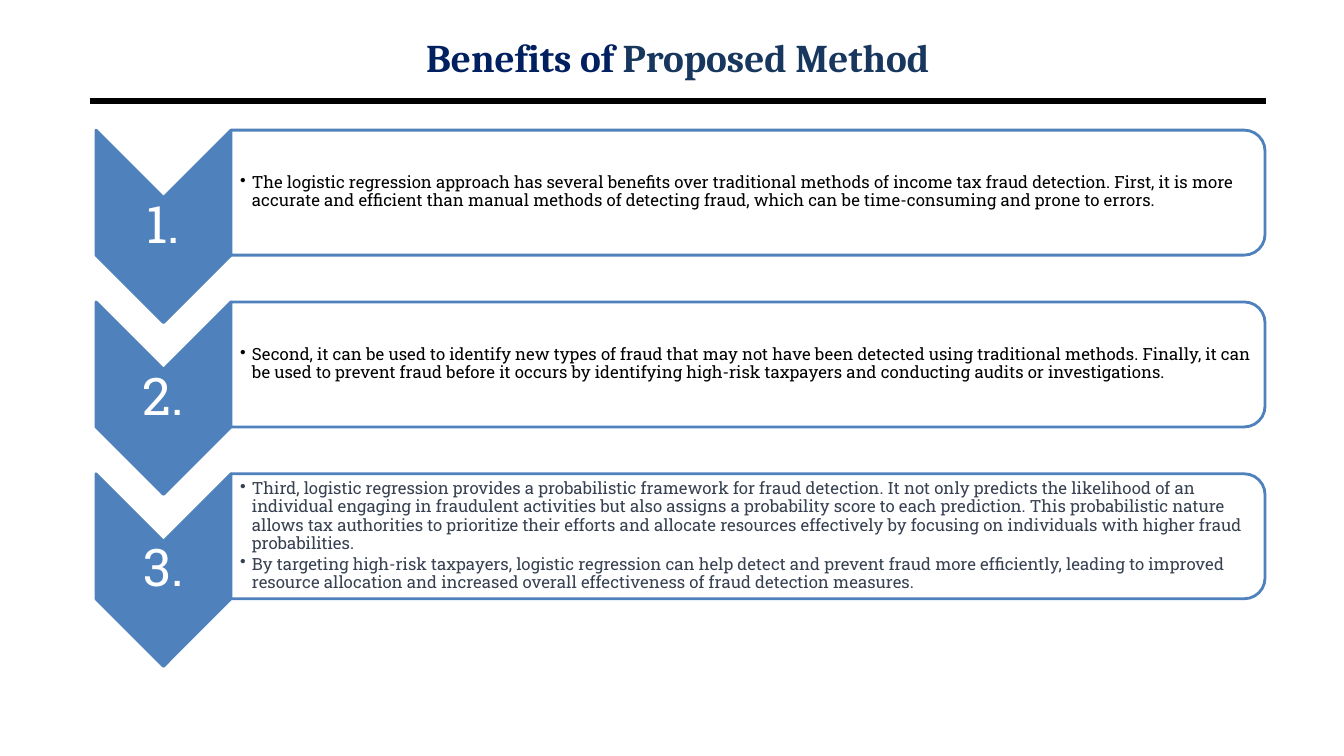
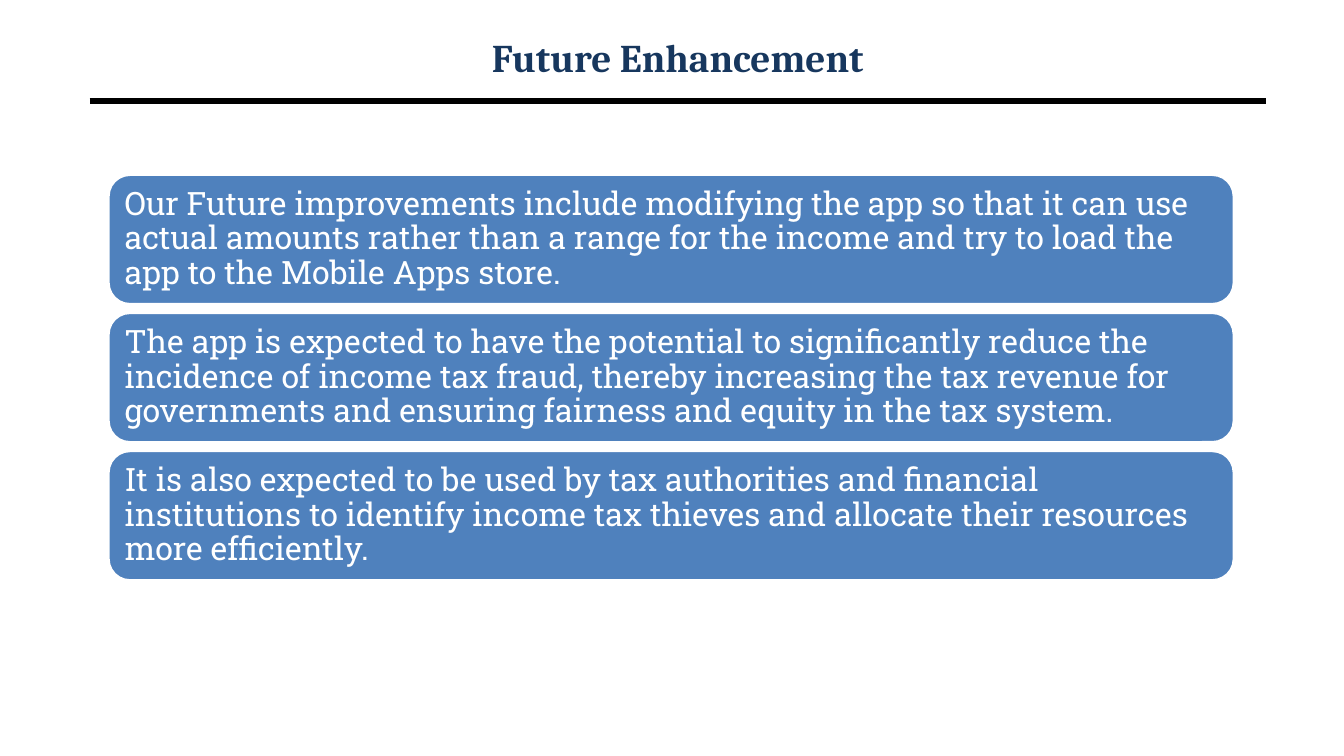
"""Build two slides on the benefits and the future of a tax fraud method."""
from typing import NamedTuple

from lxml import etree
from pptx import Presentation
from pptx.dml.color import RGBColor
from pptx.enum.shapes import MSO_CONNECTOR, MSO_SHAPE
from pptx.enum.text import MSO_ANCHOR, PP_ALIGN
from pptx.oxml.ns import qn
from pptx.shapes.autoshape import Shape
from pptx.slide import Slide
from pptx.util import Cm, Pt

CHEVRON, ROUND = MSO_SHAPE.CHEVRON, MSO_SHAPE.ROUNDED_RECTANGLE
PANEL = MSO_SHAPE.ROUND_2_SAME_RECTANGLE
STRAIGHT = MSO_CONNECTOR.STRAIGHT
LEFT, CENTER = PP_ALIGN.LEFT, PP_ALIGN.CENTER
MIDDLE = MSO_ANCHOR.MIDDLE

COLORS = {
    "navy": "002060",
    "steel": "17375E",
    "blue": "4F81BD",
    "slate": "374151",
    "black": "000000",
    "white": "FFFFFF",
}
HEAD, BODY = "Cambria", "Roboto Slab"


class Box(NamedTuple):
    """A place on the slide, in centimetres."""
    left: float
    top: float
    width: float
    height: float


class Run(NamedTuple):
    """A piece of text in one colour."""
    text: str
    ink: str


class Step(NamedTuple):
    """A numbered row with its bullet points."""
    ink: str
    points: tuple[str, ...]


STEPS = (
    Step("black", (
        "The logistic regression approach has several benefits over traditional methods of "
        "income tax fraud detection. First, it is more accurate and efficient than manual "
        "methods of detecting fraud, which can be time-consuming and prone to errors.",
    )),
    Step("black", (
        "Second, it can be used to identify new types of fraud that may not have been detected "
        "using traditional methods. Finally, it can be used to prevent fraud before it occurs "
        "by identifying high-risk taxpayers and conducting audits or investigations.",
    )),
    Step("slate", (
        "Third, logistic regression provides a probabilistic framework for fraud detection. It "
        "not only predicts the likelihood of an individual engaging in fraudulent activities "
        "but also assigns a probability score to each prediction. This probabilistic nature "
        "allows tax authorities to prioritize their efforts and allocate resources effectively "
        "by focusing on individuals with higher fraud probabilities.",
        "By targeting high-risk taxpayers, logistic regression can help detect and prevent "
        "fraud more efficiently, leading to improved resource allocation and increased overall "
        "effectiveness of fraud detection measures.",
    )),
)
PLANS = (
    "Our Future improvements include modifying the app so that it can use actual amounts rather "
    "than a range for the income and try to load the app to the Mobile Apps store.",
    "The app is expected to have the potential to significantly reduce the incidence of income "
    "tax fraud, thereby increasing the tax revenue for governments and ensuring fairness and "
    "equity in the tax system.",
    "It is also expected to be used by tax authorities and financial institutions to identify "
    "income tax thieves and allocate their resources more efficiently.",
)
TITLE = Box(2.26, 0.76, 29.64, 1.35)
RULE = 2.54


def tint(name: str) -> RGBColor:
    """Return a named colour."""
    return RGBColor.from_string(COLORS[name])


def write(shape: Shape, *paras: list[Run], size: float, font: str = BODY, bold: bool = False,
          align: PP_ALIGN = LEFT, line: float = 0.9, after: float = 0, bullet: bool = False,
          pad: tuple[float, ...] = (0.25, 0.25, 0.25, 0.25)) -> None:
    """Fill a shape with formatted paragraphs."""
    frame = shape.text_frame
    frame.word_wrap = True
    frame.vertical_anchor = MIDDLE
    (frame.margin_left, frame.margin_top,
     frame.margin_right, frame.margin_bottom) = map(Cm, pad)
    for index, runs in enumerate(paras):
        para = frame.add_paragraph() if index else frame.paragraphs[0]
        if bullet:
            props = para._p.get_or_add_pPr()
            props.set("marL", str(Cm(0.3)))
            props.set("indent", str(-Cm(0.3)))
            etree.SubElement(props, qn("a:buChar"), char="•")
        para.alignment = align
        para.line_spacing = line
        para.space_after = Pt(after)
        for text, ink in runs:
            run = para.add_run()
            run.text = text
            run.font.name = font
            run.font.size = Pt(size)
            run.font.bold = bold
            run.font.color.rgb = tint(ink)


def label(slide: Slide, box: Box) -> Shape:
    """Add an empty text box."""
    return slide.shapes.add_textbox(*map(Cm, box))


def draw(slide: Slide, kind: MSO_SHAPE, box: Box, fill: str, edge: str,
         turn: bool = False) -> Shape:
    """Add a shape that covers the box, on its side if asked."""
    if turn:
        left, top, width, height = box
        shift = (width - height) / 2
        box = Box(left + shift, top - shift, height, width)
    shape = slide.shapes.add_shape(kind, *map(Cm, box))
    shape.shadow.inherit = False
    shape.rotation = 90 if turn else 0
    shape.fill.solid()
    shape.fill.fore_color.rgb = tint(fill)
    shape.line.color.rgb = tint(edge)
    shape.line.width = Pt(2)
    return shape


def start(deck: Presentation, *title: Run) -> Slide:
    """Add a blank slide with the shared title and rule."""
    slide = deck.slides.add_slide(deck.slide_layouts[6])
    rule = slide.shapes.add_connector(
        STRAIGHT, Cm(TITLE.left), Cm(RULE), Cm(TITLE.left + TITLE.width), Cm(RULE))
    rule.line.color.rgb = tint("black")
    rule.line.width = Pt(4.5)
    etree.SubElement(rule._element.spPr, qn("a:effectLst"))
    write(label(slide, TITLE), list(title), size=28, font=HEAD, bold=True,
          align=CENTER, line=1, pad=(0.25, 0.13, 0.25, 0.13))
    return slide


def gains(deck: Presentation) -> None:
    """Build the slide of numbered benefits."""
    slide = start(deck, Run("Benefits of ", "navy"), Run("Proposed Method", "steel"))
    for index, step in enumerate(STEPS):
        top = 3.28 + index * 4.33
        draw(slide, CHEVRON, Box(2.42, top, 3.4, 4.85), "blue", "blue", turn=True)
        write(label(slide, Box(2.42, top + 1.7, 3.4, 1.45)), [Run(f"{index + 1}.", "white")],
              size=37, align=CENTER, pad=(0.08,) * 4)
        draw(slide, PANEL, Box(5.82, top, 26.06, 3.15), "white", "blue", turn=True)
        write(label(slide, Box(5.82, top + 0.15, 25.91, 2.84)),
              *([Run(point, step.ink)] for point in step.points),
              size=12, after=2, bullet=True, pad=(0.23, 0.03, 0.03, 0.03))


def plans(deck: Presentation) -> None:
    """Build the slide of future plans."""
    slide = start(deck, Run("Future Enhancement", "steel"))
    for index, plan in enumerate(PLANS):
        box = Box(2.73, 4.4 + index * 3.48, 28.37, 3.27)
        write(draw(slide, ROUND, box, "blue", "white"), [Run(plan, "white")], size=23)


def main() -> None:
    """Build and save the deck."""
    deck = Presentation()
    deck.slide_width, deck.slide_height = Cm(33.87), Cm(19.05)
    gains(deck)
    plans(deck)
    deck.save("out.pptx")


if __name__ == "__main__":
    main()
